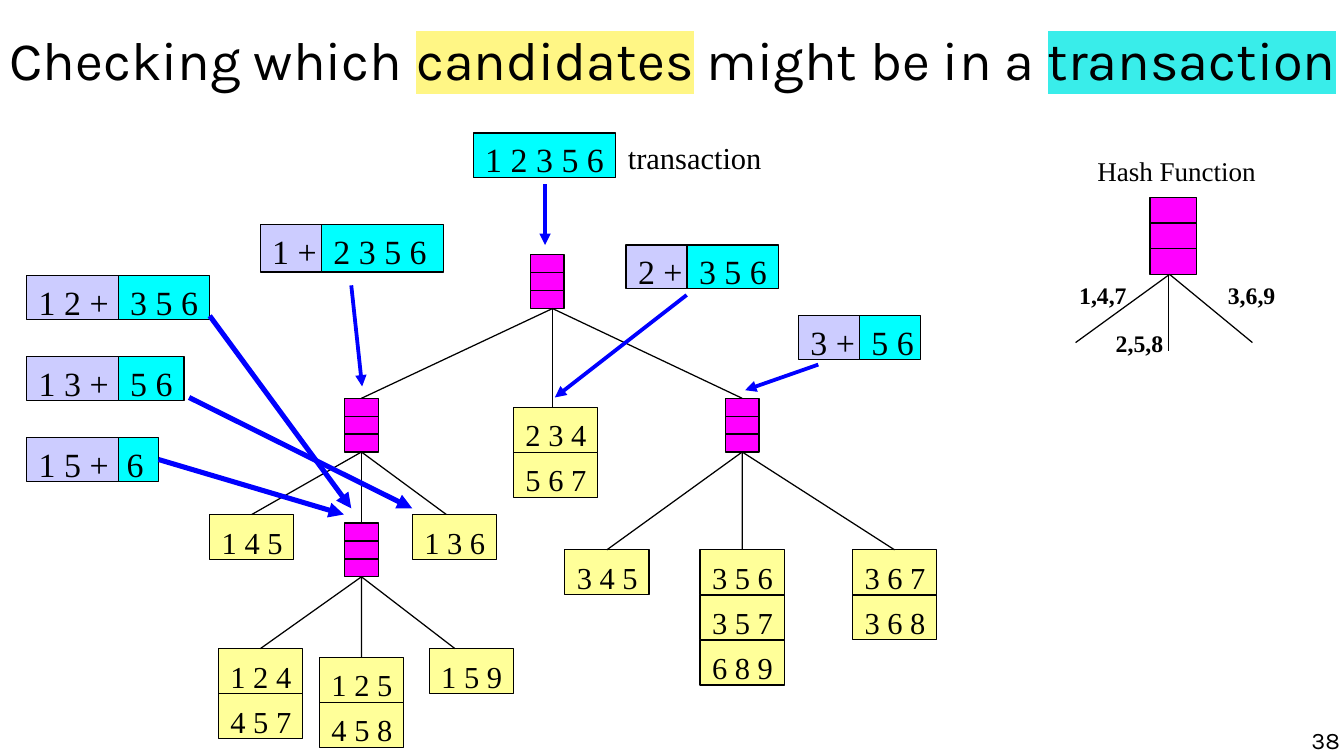
from dataclasses import dataclass

from lxml.etree import SubElement as Sub
from pptx import Presentation
from pptx.dml.color import RGBColor as Rgb
from pptx.enum.shapes import MSO_CONNECTOR as Conn, MSO_SHAPE as Kind
from pptx.enum.text import MSO_ANCHOR as Anchor, PP_ALIGN as Align
from pptx.oxml.ns import qn
from pptx.shapes.autoshape import Shape
from pptx.shapes.connector import Connector
from pptx.text.text import TextFrame
from pptx.util import Pt

BLACK, BLUE, PINK = "000000", "0000FF", "FF00FF"
CYAN, LILAC, CREAM = "00FFFF", "CCCCFF", "FFFF99"
SERIF, SANS = "Times New Roman", "Karla"
TOP, LEFT, BOTTOM, RIGHT = range(4)
LEAF_W, LEAF_H = 49.7, 26.6
NODE_W, NODE_H = 20, 31.7


@dataclass
class Node:
    name: str
    x: float
    y: float
    w: float = NODE_W
    h: float = NODE_H


@dataclass
class Stack:
    x: float
    y: float
    items: list[str]


@dataclass
class Split:
    x: float
    y: float
    head: str
    rest: str
    head_w: float
    rest_w: float
    h: float = 25.9
    pad: float = 7.2


@dataclass
class Edge:
    start: str
    end: str
    x1: float | None = None
    x2: float | None = None


@dataclass
class Arrow:
    x1: float
    y1: float
    x2: float
    y2: float
    width: float = 2.25
    start: str = ""


@dataclass
class Label:
    x: float
    y: float
    w: float
    h: float
    text: str
    size: float
    bold: bool = False


NODES = [
    Node("root", 313, 150.5), Node("left", 203.4, 235.2),
    Node("right", 428.2, 235.2), Node("low", 203.4, 308.9),
    Node("hash", 678.9, 116.6, 27.4, 45.4),
]
STACKS = [
    Stack(123.8, 303.8, ["1 4 5"]),
    Stack(243.4, 303.8, ["1 3 6"]),
    Stack(253.4, 383, ["1 5 9"]),
    Stack(333.4, 324.7, ["3 4 5"]),
    Stack(413.3, 324.7, ["3 5 6", "3 5 7", "6 8 9"]),
    Stack(503.3, 324.7, ["3 6 7", "3 6 8"]),
    Stack(303.1, 240.5, ["2 3 4", "5 6 7"]),
    Stack(128.9, 383, ["1 2 4", "4 5 7"]),
    Stack(188.6, 388.1, ["1 2 5", "4 5 8"]),
]
SPLITS = [
    Split(15.8, 162.7, "1 2 +", "3 5 6", 54, 54),
    Split(15.8, 210.6, "1 3 +", "5 6", 54, 38.9),
    Split(15.8, 258.4, "1 5 +", "6", 54, 23.8, pad=5),
    Split(153.6, 132.5, "1 +", "2 3 5 6", 36.2, 72, 28.1),
    Split(369.6, 144.7, "2 +", "3 5 6", 36, 54),
    Split(471.4, 186.5, "3 +", "5 6", 36, 36),
]
EDGES = [
    Edge("root", "left", 326.2), Edge("root", "2 3 4", 326.2, 326.2),
    Edge("root", "right", 326.2),
    Edge("left", "1 4 5"), Edge("left", "low"),
    Edge("left", "1 3 6", x2=263.5),
    Edge("right", "3 4 5"), Edge("right", "3 5 6"), Edge("right", "3 6 7"),
    Edge("low", "1 2 4"), Edge("low", "1 2 5"),
    Edge("low", "1 5 9", x2=268.6),
]
ARROWS = [
    Arrow(321.8, 108.7, 321.8, 144.7), Arrow(207.4, 168.5, 213.8, 228.2),
    Arrow(405.4, 174.2, 327.6, 234.7), Arrow(483.1, 215.3, 439.9, 230.4),
    Arrow(123.8, 186.5, 207.4, 300.2, 3),
    Arrow(92.2, 270.7, 203, 303.8, 3, "6"),
    Arrow(111.6, 234.7, 243.4, 300.2, 3),
]
LABELS = [
    Label(630, 162, 42.5, 23.8, "1,4,7", 14, True),
    Label(651.6, 190.8, 42.5, 23.8, "2,5,8", 14, True),
    Label(717.8, 162, 42.5, 23.8, "3,6,9", 14, True),
    Label(640.8, 87.8, 108, 26.6, "Hash Function", 16),
    Label(363.6, 78.5, 92.9, 28.8, "transaction", 18),
]
TITLE = [
    ("Checking which ", ""), ("candidates", "FFF685"),
    (" might be in a ", ""), ("transaction", "39EDEA"),
]

deck = Presentation()
deck.slide_width, deck.slide_height = Pt(793.44), Pt(446.4)
slide = deck.slides.add_slide(deck.slide_layouts[6])
shapes = slide.shapes
boxes: dict[str, Shape] = {}


def rgb(code: str) -> Rgb:
    return Rgb.from_string(code)


def set_pads(frame: TextFrame, left: float, top: float) -> None:
    frame.margin_left, frame.margin_top = Pt(left), Pt(top)
    frame.margin_right = frame.margin_bottom = 0
    frame.vertical_anchor = Anchor.TOP
    frame.word_wrap = False


def add_run(frame: TextFrame, text: str, size: float, face: str = SERIF,
            bold: bool = False, glow: str = "") -> None:
    run = frame.paragraphs[0].add_run()
    run.text = text
    font = run.font
    font.size, font.bold = Pt(size), bold
    font.color.rgb = rgb(BLACK)
    if glow:
        mark = Sub(run.font._rPr, qn("a:highlight"))
        Sub(mark, qn("a:srgbClr"), val=glow)
    font.name = face


def add_box(x: float, y: float, w: float, h: float, fill: str) -> Shape:
    box = shapes.add_shape(Kind.RECTANGLE, Pt(x), Pt(y), Pt(w), Pt(h))
    box.shadow.inherit = False
    box.fill.solid()
    box.fill.fore_color.rgb = rgb(fill)
    box.line.color.rgb = rgb(BLACK)
    box.line.width = Pt(0.75)
    return box


def add_tile(x: float, y: float, w: float, h: float, fill: str, text: str,
             size: float = 20, left: float = 7.2, top: float = 3.6) -> None:
    box = add_box(x, y, w, h, fill)
    set_pads(box.text_frame, left, top)
    box.text_frame.paragraphs[0].alignment = Align.LEFT
    add_run(box.text_frame, text, size)
    boxes[text] = box


def add_line(x1: float, y1: float, x2: float, y2: float,
             color: str = BLACK, width: float = 0.75) -> Connector:
    line = shapes.add_connector(Conn.STRAIGHT, Pt(x1), Pt(y1), Pt(x2), Pt(y2))
    line.line.color.rgb = rgb(color)
    line.line.width = Pt(width)
    Sub(line.element.spPr, qn("a:effectLst"))
    return line


def add_node(node: Node) -> None:
    boxes[node.name] = add_box(node.x, node.y, node.w, node.h, PINK)
    for part in (1, 2):
        y = node.y + node.h * part / 3
        add_line(node.x, y, node.x + node.w, y)


def add_edge(edge: Edge) -> None:
    src, dst = boxes[edge.start], boxes[edge.end]
    line = add_line(edge.x1 or 0, (src.top + src.height) / Pt(1),
                    edge.x2 or 0, dst.top / Pt(1))
    if edge.x1 is None:
        line.begin_connect(src, BOTTOM)
    if edge.x2 is None:
        line.end_connect(dst, TOP)


def add_arrow(arrow: Arrow) -> None:
    line = add_line(arrow.x1, arrow.y1, arrow.x2, arrow.y2, BLUE, arrow.width)
    Sub(line.line._get_or_add_ln(), qn("a:tailEnd"), type="triangle")
    if arrow.start:
        line.begin_connect(boxes[arrow.start], RIGHT)


def add_text(x: float, y: float, w: float, h: float) -> TextFrame:
    return shapes.add_textbox(Pt(x), Pt(y), Pt(w), Pt(h)).text_frame


head = add_text(3.6, 0, 787, 69.8)
set_pads(head, 0, 0)
head.vertical_anchor = Anchor.MIDDLE
head.paragraphs[0].alignment = Align.CENTER
for text, glow in TITLE:
    add_run(head, text, 32, SANS, glow=glow)

for node in NODES:
    add_node(node)
for stack in STACKS:
    for row, text in enumerate(stack.items):
        add_tile(stack.x, stack.y + row * LEAF_H, LEAF_W, LEAF_H, CREAM,
                 text, 18, top=5.4)
for edge in EDGES:
    add_edge(edge)
for x1, x2, y2 in ((690.5, 635, 202.3), (689.8, 689.8, 207.4),
                   (690.5, 739.4, 202.3)):
    add_line(x1, 162, x2, y2)

add_tile(279.4, 78.5, 84.2, 26.6, CYAN, "1 2 3 5 6")
for pair in SPLITS:
    add_tile(pair.x, pair.y, pair.head_w, pair.h, LILAC, pair.head)
    add_tile(pair.x + pair.head_w, pair.y, pair.rest_w, pair.h, CYAN,
             pair.rest, left=pair.pad)
for arrow in ARROWS:
    add_arrow(arrow)

for label in LABELS:
    frame = add_text(label.x, label.y, label.w, label.h)
    set_pads(frame, 7.2, 3.6)
    add_run(frame, label.text, label.size, bold=label.bold)

page = add_text(606.2, 428.4, 185, 18)
set_pads(page, 0, 0)
page.word_wrap = True
page.paragraphs[0].alignment = Align.RIGHT
add_run(page, "38", 14, SANS)

deck.save("out.pptx")
